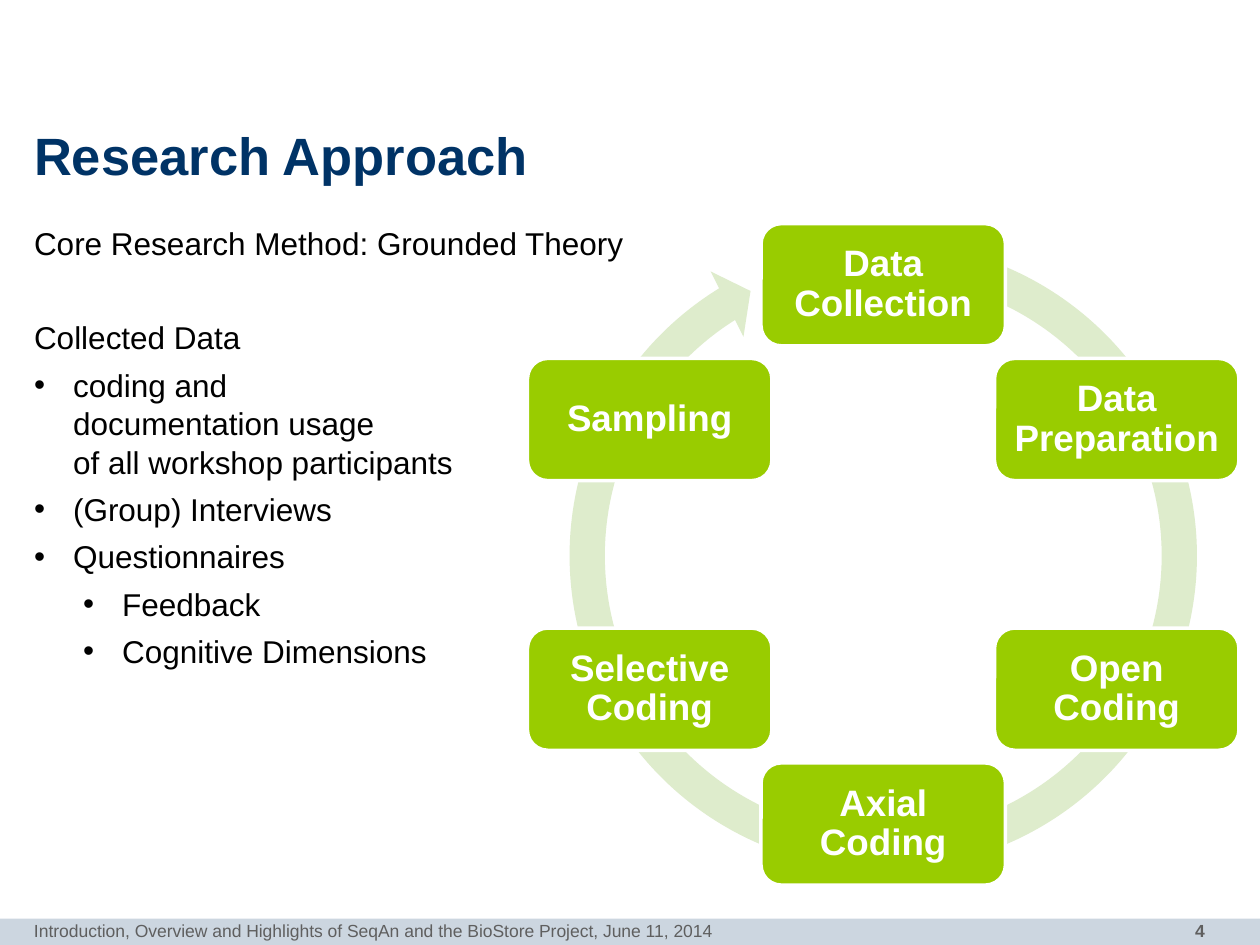
import math

from lxml import etree
from pptx import Presentation
from pptx import util as u
from pptx.dml.color import RGBColor
from pptx.enum import shapes, text
from pptx.oxml.ns import qn


class Theme:
    font = "Arial"
    navy = "003366"
    black = "000000"
    white = "FFFFFF"
    gray = "5F5F5F"
    bar = "CCD6E0"
    green = "99CC00"
    pale_green = "DEECCC"
    title, body, step, footer = 30, 18, 21, 10


LEFT, ALIGN_CENTER, RIGHT = (text.PP_ALIGN.LEFT, text.PP_ALIGN.CENTER,
                             text.PP_ALIGN.RIGHT)
TOP, MIDDLE = text.MSO_ANCHOR.TOP, text.MSO_ANCHOR.MIDDLE


def color(value):
    return RGBColor.from_string(value)


def add_bullet(p, indent, hanging=0.31):
    pPr = p._p.get_or_add_pPr()
    pPr.set("marL", str(u.Inches(indent)))
    pPr.set("indent", str(-u.Inches(hanging)))
    etree.SubElement(pPr, qn("a:buFont"), typeface=Theme.font)
    etree.SubElement(pPr, qn("a:buChar"), char="•")


def write(p, content, size=Theme.body, fill=Theme.black, bold=False,
          align=LEFT, spacing=1.0, before=0):
    """Fill a paragraph; a vertical tab in the content is a line break."""
    p.text = content
    p.alignment = align
    p.line_spacing = spacing
    p.space_before = u.Pt(before)
    for r in p.runs:
        r.font.name = Theme.font
        r.font.size = u.Pt(size)
        r.font.bold = bold
        r.font.color.rgb = color(fill)


class Deck:
    def __init__(self, prs):
        self.prs = prs
        self.s = prs.slides.add_slide(prs.slide_layouts[6])

    def frame(self, sp, inset_x=0, inset_y=0, anchor=TOP):
        tf = sp.text_frame
        tf.word_wrap = True
        tf.vertical_anchor = anchor
        tf.margin_left = tf.margin_right = u.Inches(inset_x)
        tf.margin_top = tf.margin_bottom = u.Inches(inset_y)
        return tf

    def textbox(self, box, **layout):
        return self.frame(self.s.shapes.add_textbox(*map(u.Inches, box)), **layout)

    def shape(self, kind, box, fill, outline=None):
        sp = self.s.shapes.add_shape(kind, *map(u.Inches, box))
        sp.shadow.inherit = False
        sp.fill.solid()
        sp.fill.fore_color.rgb = color(fill)
        if outline:
            sp.line.color.rgb = color(outline)
            sp.line.width = u.Pt(2)
        else:
            sp.line.fill.background()
        return sp

    def label(self, content, box, inset_x=0, inset_y=0, anchor=TOP, **style):
        tf = self.textbox(box, inset_x=inset_x, inset_y=inset_y, anchor=anchor)
        write(tf.paragraphs[0], content, **style)

    def outline(self, items, box):
        """Write (text, bullet indent or None, space before) items."""
        tf = self.textbox(box)
        for i, (content, indent, before) in enumerate(items):
            p = tf.add_paragraph() if i else tf.paragraphs[0]
            if indent is not None:
                add_bullet(p, indent)
                p.level = int(indent > 0.31)
            write(p, content, spacing=1.02, before=before)

    def cycle(self, steps, center, radius, size):
        """Place the steps clockwise around an arrow, starting at the top."""
        cx, cy = center
        width, height = size
        arrow = self.shape(shapes.MSO_SHAPE.CIRCULAR_ARROW,
                           (4.37, 1.77, 5.28, 5.28), Theme.pale_green)
        for i, value in enumerate((0.053, 3.126, 142.897, 170.911, 0.055)):
            arrow.adjustments[i] = value
        for i, step in enumerate(steps):
            angle = 2 * math.pi * i / len(steps)
            x = cx + radius * math.sin(angle) - width / 2
            y = cy - radius * math.cos(angle) - height / 2
            sp = self.shape(shapes.MSO_SHAPE.ROUNDED_RECTANGLE,
                            (x, y, width, height), Theme.green, Theme.white)
            tf = self.frame(sp, 0.08, 0.08, MIDDLE)
            write(tf.paragraphs[0], step, size=Theme.step, fill=Theme.white,
                  bold=True, align=ALIGN_CENTER, spacing=0.9)


def main():
    prs = Presentation()
    prs.slide_width, prs.slide_height = u.Inches(10), u.Inches(7.5)
    deck = Deck(prs)

    deck.shape(shapes.MSO_SHAPE.RECTANGLE, (0, 7.29, 10, 0.21), Theme.bar)
    deck.label("4", (8.32, 7.25, 1.34, 0.26), inset_x=0.1, inset_y=0.05,
               size=Theme.footer, fill=Theme.gray, bold=True, align=RIGHT)
    deck.label("Introduction, Overview and Highlights of SeqAn and the "
               "BioStore Project, June 11, 2014", (0.27, 7.25, 6.54, 0.25),
               inset_y=0.05, size=Theme.footer, fill=Theme.gray)
    deck.label("Research Approach", (0.27, 1.03, 9.45, 0.47), anchor=MIDDLE,
               size=Theme.title, fill=Theme.navy, bold=True, spacing=0.85)
    deck.outline([
        ("Core Research Method: Grounded Theory", None, 0),
        ("Collected Data", None, 32),
        ("coding and\vdocumentation usage\vof all workshop participants", 0.31, 5),
        ("(Group) Interviews", 0.31, 5),
        ("Questionnaires", 0.31, 5),
        ("Feedback", 0.7, 5),
        ("Cognitive Dimensions", 0.7, 5),
    ], (0.27, 1.77, 9.45, 5.32))
    deck.cycle(["Data Collection", "Data Preparation", "Open Coding",
                "Axial Coding", "Selective Coding", "Sampling"],
               center=(7.01, 4.4), radius=2.14, size=(1.94, 0.97))

    prs.save("out.pptx")


if __name__ == "__main__":
    main()
